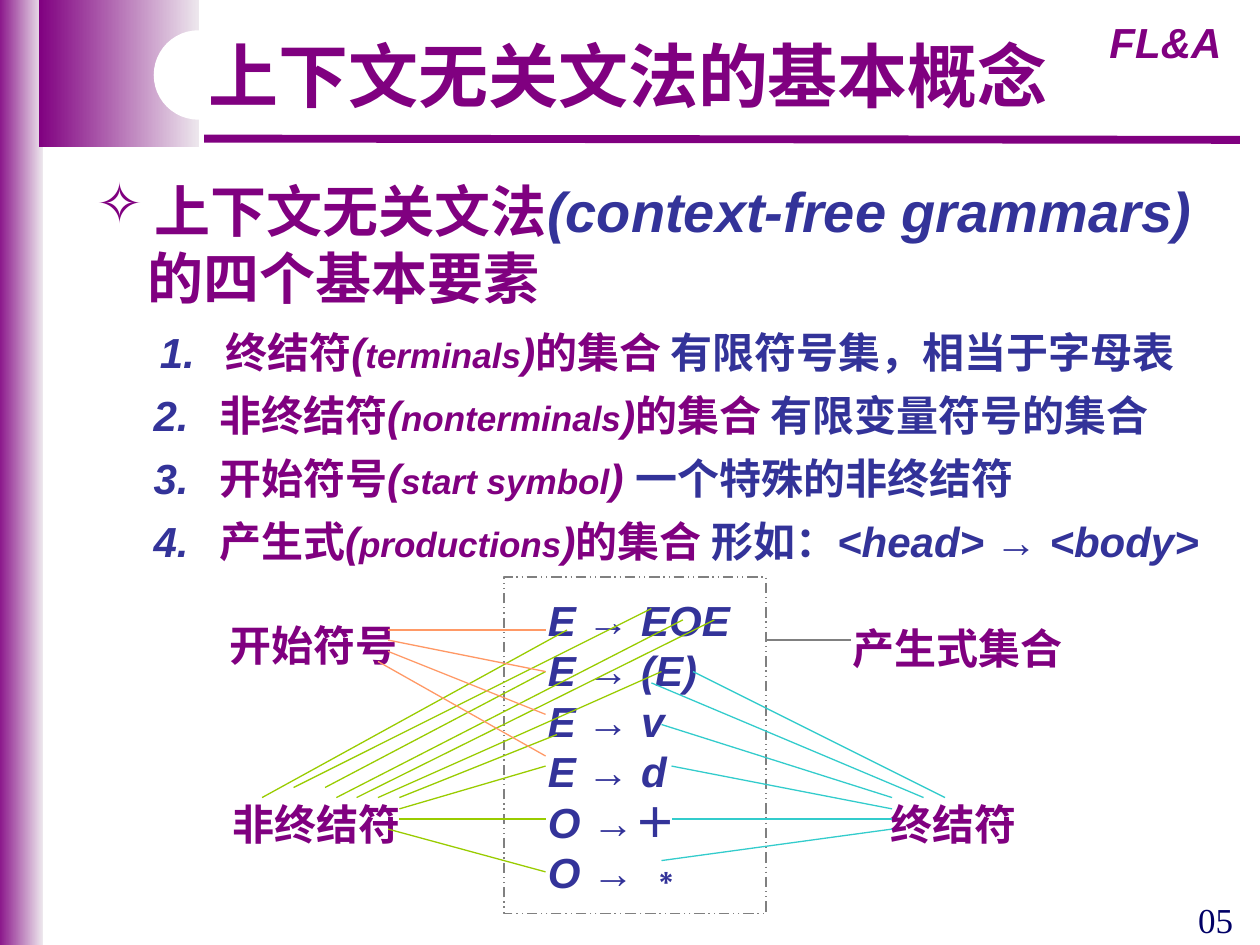
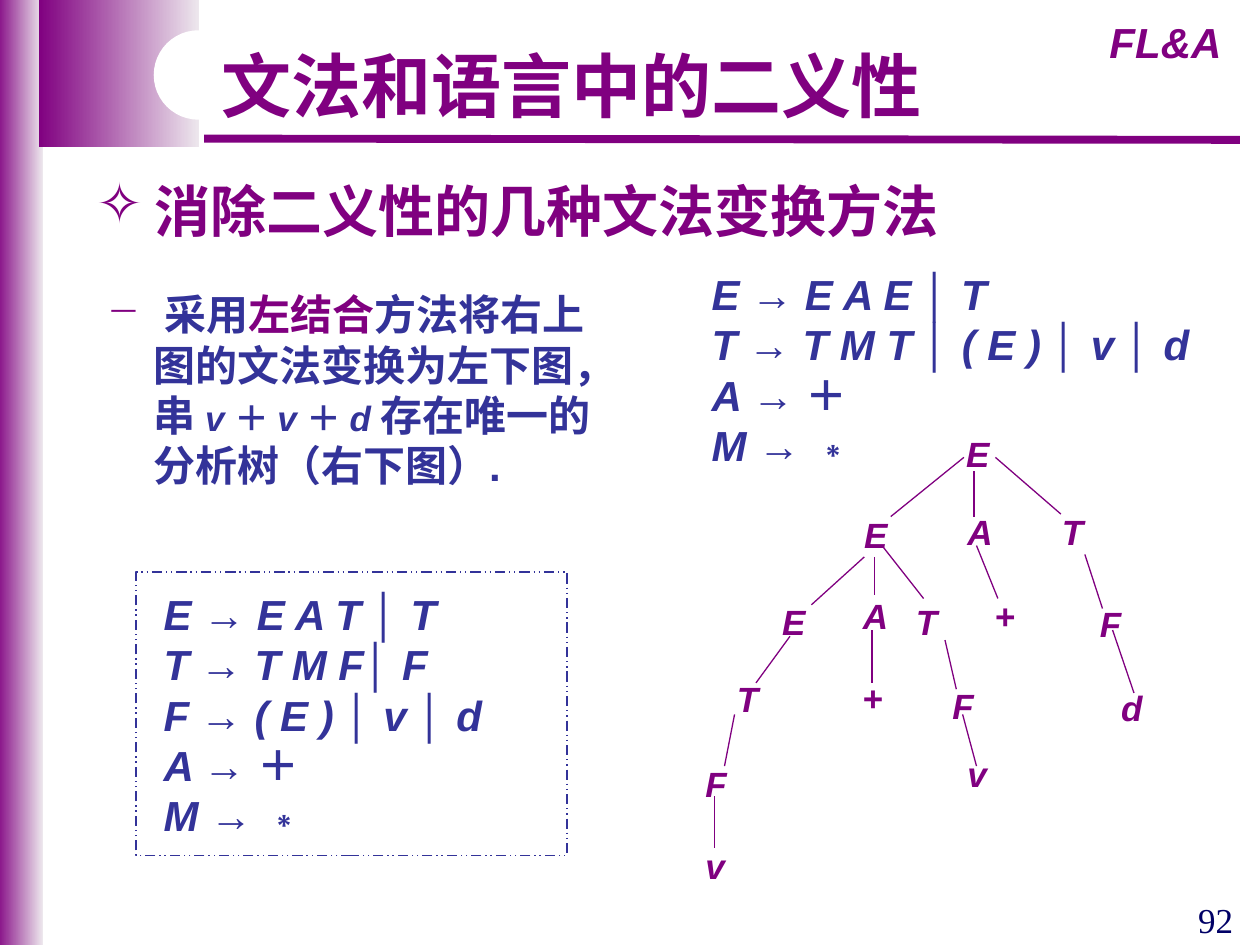
from dataclasses import dataclass
from itertools import groupby

from lxml import etree
from pptx import Presentation
from pptx.dml.color import RGBColor as RGB
from pptx.enum.dml import MSO_LINE
from pptx.enum.shapes import MSO_CONNECTOR, MSO_SHAPE as SHAPE
from pptx.enum.text import MSO_ANCHOR, MSO_AUTO_SIZE, PP_ALIGN as ALIGN
from pptx.oxml.ns import qn
from pptx.util import Inches, Pt


@dataclass(frozen=True)
class Theme:
    purple: str = "800080"
    pale: str = "EDE7ED"
    blue: str = "333399"
    navy: str = "000066"
    grey: str = "808080"
    orange: str = "FF9966"
    green: str = "99CC00"
    teal: str = "33CCCC"
    white: str = "FFFFFF"
    sans: str = "Arial"
    serif: str = "Times New Roman"
    cjk: str = "Noto Sans CJK SC"
    title: int = 40
    heading: int = 32
    body: int = 24
    small: int = 20
    hairline: float = 0.75
    rule: float = 4.5


T = Theme()


def set_text(sp, paras, size=T.body, color=T.purple, font=T.sans, bold=True,
             align=ALIGN.LEFT, wrap=True, lead=0, margins=(), bullet=None):
    """Each paragraph is a list of runs: (text, colour, italic, size).

    lead is extra height of the first line in points; margins holds
    (left, first-line) indents in inches, one pair per paragraph.
    """
    tf = sp.text_frame
    tf.word_wrap = wrap
    tf.auto_size = MSO_AUTO_SIZE.NONE
    tf.vertical_anchor = MSO_ANCHOR.TOP
    for i, runs in enumerate(paras):
        p = tf.paragraphs[0] if i == 0 else tf.add_paragraph()
        pPr = p._p.get_or_add_pPr()
        if i < len(margins):
            left, first = margins[i]
            pPr.set("marL", str(Inches(left)))
            pPr.set("indent", str(Inches(first)))
        if bullet and i == 0:
            clr = etree.SubElement(pPr, qn("a:buClr"))
            etree.SubElement(clr, qn("a:srgbClr")).set("val", T.purple)
            etree.SubElement(pPr, qn("a:buChar")).set("char", bullet)
        p.alignment = align
        p.line_spacing = Pt(round(size * 1.2 + (lead if i == 0 else 0), 1))
        p.space_before = Pt(0)
        for text, *style in runs:
            run_color, italic, run_size = style + [color, False, size][len(style):]
            r = p.add_run()
            r.text = text
            f = r.font
            f.name, f.size, f.bold, f.italic = font, Pt(run_size), bold, italic
            f.color.rgb = RGB.from_string(run_color)
            rPr = r._r.get_or_add_rPr()
            etree.SubElement(rPr, qn("a:ea")).set("typeface", T.cjk)


def add_line(s, ends, color, width=T.hairline):
    ln = s.shapes.add_connector(MSO_CONNECTOR.STRAIGHT, *map(Inches, ends))
    ln.line.color.rgb = RGB.from_string(color)
    ln.line.width = Pt(width)
    etree.SubElement(ln._element.spPr, qn("a:effectLst"))


prs = Presentation()
prs.slide_width, prs.slide_height = Inches(10), Inches(7.5)

# Shared frame: bands, notch, rule, course mark, title, page number, dashed box
pages = [
    ("上下文无关文法的基本概念", (1.55, 0.21, 6.87, 0.7), T.serif, ALIGN.CENTER, 0,
     "05", (4, 4.58, 2.08, 2.67), T.grey),
    ("文法和语言中的二义性", (1.66, 0.23, 5.76, 0.77), T.sans, ALIGN.LEFT, 4,
     "92", (1.08, 4.54, 3.42, 2.25), T.blue),
]
for title, title_box, title_font, align, lead, number, frame, frame_color in pages:
    s = prs.slides.add_slide(prs.slide_layouts[5])
    for band in [(-0.04, 0, 0.38, 7.53), (0.31, 0, 1.27, 1.17)]:
        sp = s.shapes.add_shape(SHAPE.RECTANGLE, *map(Inches, band))
        sp.shadow.inherit = False
        sp.line.fill.background()
        sp.fill.gradient()
        sp.fill.gradient_angle = 0
        for stop, color in zip(sp.fill.gradient_stops, (T.purple, T.pale)):
            stop.color.rgb = RGB.from_string(color)
    add_line(s, (1.62, 1.1, 9.84, 1.11), T.purple, T.rule)

    sp = s.shapes.add_textbox(*map(Inches, (8.62, 0.08, 1.26, 0.5)))
    set_text(sp, [[("FL&A", T.purple, True)]], align=ALIGN.CENTER)

    notch = s.shapes.add_shape(SHAPE.ROUNDED_RECTANGLE,
                               *map(Inches, (1.22, 0.24, 3.62, 0.71)))
    notch.adjustments[0] = 0.5
    notch.shadow.inherit = False
    notch.fill.solid()
    notch.fill.fore_color.rgb = RGB.from_string(T.white)
    notch.line.fill.background()

    sp = s.shapes.title
    sp.left, sp.top, sp.width, sp.height = map(Inches, title_box)
    set_text(sp, [[(title,)]], size=T.title, font=title_font, align=align,
             wrap=False, lead=lead)
    s.shapes._spTree.append(sp._element)  # in front of the notch

    sp = s.shapes.add_textbox(*map(Inches, (9.41, 7.08, 0.59, 0.44)))
    set_text(sp, [[(number,)]], size=T.small, color=T.navy, font=T.serif, bold=False)

    sp = s.shapes.add_shape(SHAPE.RECTANGLE, *map(Inches, frame))
    sp.shadow.inherit = False
    sp.fill.background()
    sp.line.color.rgb = RGB.from_string(frame_color)
    sp.line.width = Pt(T.hairline)
    sp.line.dash_style = MSO_LINE.DASH_DOT_DOT

grammar_slide, ambiguity_slide = prs.slides

# Grammar rules: symbols in italics, arrows and bars upright
grammars = [
    (grammar_slide, (4.25, 4.67, 1.75, 2.5),
     ["E → EOE", "E → (E)", "E → v", "E → d", "O →＋", "O → ∗"]),
    (ambiguity_slide, (1.2, 4.62, 3.3, 2.1),
     ["E → E A T │ T", "T → T M F│ F", "F → ( E ) │ v │ d", "A → ＋", "M → ∗"]),
    (ambiguity_slide, (5.55, 2.08, 4.3, 1.7),
     ["E → E A E │ T", "T → T M T │ ( E ) │ v │ d", "A → ＋", "M → ∗"]),
]
for s, box, rules in grammars:
    sp = s.shapes.add_textbox(*map(Inches, box))
    set_text(sp, [[("".join(chars), T.blue, is_symbol)
                   for is_symbol, chars in groupby(rule, str.isascii)]
                  for rule in rules])

# Slide 1: heading
s = grammar_slide
sp = s.shapes.add_textbox(*map(Inches, (0.67, 1.31, 9.24, 1.17)))
set_text(sp, [[("上下文无关文法",), ("(context-free grammars)", T.blue, True)],
              [("的四个基本要素",)]],
         size=T.heading, lead=3, bullet="✧", margins=[(0.46, -0.46), (0.4, 0)])

# Slide 1: the four elements
elements = [
    (0.8, "终结符", "terminals", "的集合 ", [("有限符号集，相当于字母表", T.blue)]),
    (0.75, "非终结符", "nonterminals", "的集合 ", [("有限变量符号的集合", T.blue)]),
    (0.75, "开始符号", "start symbol", " ", [("一个特殊的非终结符", T.blue)]),
    (0.75, "产生式", "productions", "的集合 ",
     [("形如：", T.blue), ("<head>", T.blue, True), (" → ", T.blue),
      ("<body>", T.blue, True)]),
]
for i, (left, name, english, tail, meaning) in enumerate(elements):
    sp = s.shapes.add_textbox(*map(Inches, (left, 2.5 + 0.5 * i, 9.25, 0.5)))
    set_text(sp, [[(f"{i + 1}.\t", T.blue, True), (name,), ("(", T.purple, True),
                   (english, T.purple, True, T.small), (")", T.purple, True),
                   (tail,), *meaning]],
             lead=3, margins=[(0.89, -0.52)])

# Slide 1: labels around the grammar
labels = [
    ("开始符号", 1.72, 4.83, 1.54), ("产生式集合", 6.67, 4.85, 1.88),
    ("非终结符", 1.75, 6.25, 1.54), ("终结符", 6.97, 6.25, 1.21),
]
for text, left, top, width in labels:
    sp = s.shapes.add_textbox(*map(Inches, (left, top, width, 0.5)))
    set_text(sp, [[(text,)]], wrap=False, lead=3)

# Slide 1: lines from the labels to the symbols
pointers = {
    T.teal: [
        (7.5, 6.33, 5.5, 5.33), (7.33, 6.33, 5.17, 5.42), (7.08, 6.33, 5.25, 5.75),
        (7.08, 6.42, 5.33, 6.08), (7.08, 6.5, 5.33, 6.5), (7.08, 6.58, 5.25, 6.83)],
    T.green: [
        (4.5, 5, 2.08, 6.33), (4.33, 5.33, 2.58, 6.25), (4.42, 5.83, 3.17, 6.33),
        (4.33, 6.5, 3.17, 6.5), (4.33, 6.08, 3.17, 6.42), (4.33, 6.92, 3.08, 6.58),
        (5.17, 4.83, 2.33, 6.25), (5.42, 4.92, 2.67, 6.33),
        (5.67, 4.92, 2.83, 6.33), (5.25, 5.33, 3, 6.33)],
    T.orange: [
        (4.33, 5, 3.08, 5), (4.33, 5.33, 3.08, 5.08),
        (4.33, 5.67, 3.08, 5.17), (4.33, 6, 3, 5.25)],
    T.grey: [(6.08, 5.08, 6.75, 5.08)],
}
for color, lines in pointers.items():
    for ends in lines:
        add_line(s, ends, color)

# Slide 2: heading and explanation
s = ambiguity_slide
sp = s.shapes.add_textbox(*map(Inches, (0.67, 1.31, 7.56, 0.63)))
set_text(sp, [[("消除二义性的几种文法变换方法",)]], size=T.heading, font=T.cjk,
         lead=3, bullet="✧", margins=[(0.46, -0.46)])

variable = (T.blue, True, T.small)
plus = ("＋ ", T.blue, False, T.small)
sp = s.shapes.add_textbox(*map(Inches, (0.75, 2.2, 4.6, 1.72)))
set_text(sp, [[("采用",), ("左结合", T.purple), ("方法将右上",)],
              [("图的文法变换为左下图，",)],
              [("串 ",), ("v ", *variable), plus, ("v ", *variable), plus,
               ("d ", *variable), ("存在唯一的",)],
              [("分析树（右下图）.",)]],
         color=T.blue, lead=3, bullet="−",
         margins=[(0.46, -0.46)] + [(0.37, 0)] * 3)

# Slide 2: parse tree, nodes row by row
nodes = [
    ("E", 7.57, 3.38),
    ("E", 6.76, 4.03), ("A", 7.58, 4), ("T", 8.33, 4),
    ("E", 6.11, 4.72), ("A", 6.75, 4.67), ("T", 7.17, 4.72),
    ("+", 7.8, 4.67), ("F", 8.63, 4.73),
    ("T", 5.75, 5.33), ("+", 6.75, 5.32), ("F", 7.46, 5.38), ("d", 8.8, 5.4),
    ("F", 5.5, 6), ("v", 7.58, 5.92),
    ("v", 5.5, 6.65),
]
for text, left, top in nodes:
    sp = s.shapes.add_textbox(*map(Inches, (left, top, 0.38, 0.43)))
    set_text(sp, [[(text, T.purple, text.isalpha())]], size=T.small, wrap=False)

branches = [
    (7.65, 3.63, 7.07, 4.1), (7.73, 3.74, 7.73, 4.1), (7.9, 3.63, 8.42, 4.08),
    (6.86, 4.42, 6.44, 4.8), (6.94, 4.42, 6.94, 4.72), (7, 4.33, 7.33, 4.75),
    (7.75, 4.33, 7.92, 4.75), (8.61, 4.4, 8.75, 4.83),
    (6.27, 5.05, 6, 5.42), (6.92, 5, 6.92, 5.42), (7.5, 5.08, 7.59, 5.47),
    (8.83, 5, 9, 5.5),
    (5.83, 5.67, 5.75, 6.08), (7.64, 5.67, 7.75, 6.08),
    (5.67, 6.32, 5.67, 6.73),
]
for ends in branches:
    add_line(s, ends, T.purple)

prs.save("out.pptx")
